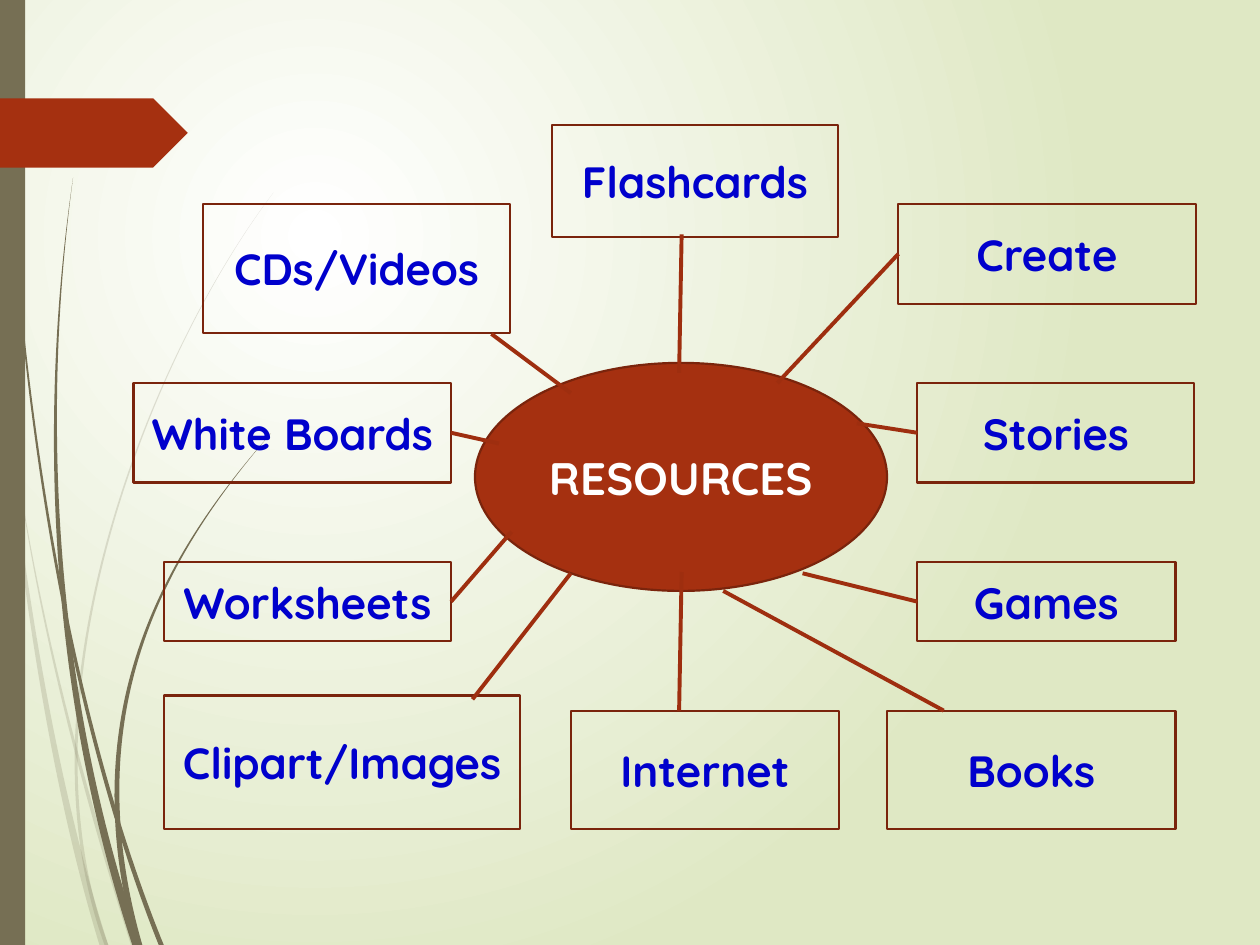
from dataclasses import dataclass
from typing import Optional

import lxml.etree
import pptx
import pptx.dml.color
import pptx.enum.shapes
import pptx.enum.text
import pptx.oxml.ns
import pptx.util
from pptx.dml.color import RGBColor
from pptx.util import Inches

WHITE = RGBColor(0xFF, 0xFF, 0xFF)
PALE_GREEN = RGBColor(0xDF, 0xE8, 0xC4)
OLIVE = RGBColor(0x76, 0x6F, 0x54)
RUST = RGBColor(0xA5, 0x30, 0x10)
DARK_RUST = RGBColor(0x7A, 0x24, 0x0C)
SPOKE_RUST = RGBColor(0x9E, 0x2E, 0x0F)
BLUE = RGBColor(0x00, 0x00, 0xCC)
FONT = "Quicksand"
SHAPES = pptx.enum.shapes.MSO_SHAPE
LEFT, RIGHT = 1, 3
qn = pptx.oxml.ns.qn
Point = tuple[float, float]
Box = tuple[float, float, float, float]


@dataclass
class Blade:
    """A grass blade along one cubic curve, widening from its tip to its base."""
    tip: Point
    upper: Point
    lower: Point
    base: Point
    width: float
    opacity: int


@dataclass
class Resource:
    """A labelled box and its spoke; side is the box's joined connection site."""
    label: str
    box: Box
    hub_end: Point
    box_end: Point
    side: Optional[int] = None


BLADES = (
    Blade((0, 2.82), (.12, 4.3), (.36, 6.1), (.79, 7.5), .07, 20),
    Blade((.1, 3.45), (.27, 4.8), (.62, 6.2), (1.04, 7.5), .04, 20),
    Blade((2.17, 1.53), (1.2, 2.8), (.1, 5.5), (.83, 7.5), .03, 20),
    Blade((.03, 0), (.06, 2.7), (.46, 5.5), (1.26, 7.5), .04, 100),
    Blade((.58, 1.41), (.3, 3.3), (.38, 5.47), (1.05, 7.5), .07, 100),
    Blade((2.15, 3.44), (1.35, 4.35), (.55, 5.6), (1.08, 7.5), .05, 100),
)
RESOURCES = (
    Resource("Flashcards", (4.38, .99, 2.27, .89), (5.39, 2.96), (5.41, 1.86)),
    Resource("Create", (7.13, 1.62, 2.36, .79), (6.17, 3.04), (7.13, 2.02), LEFT),
    Resource("Stories", (7.28, 3.04, 2.2, .79), (6.8, 3.36), (7.28, 3.44), LEFT),
    Resource("Games", (7.28, 4.46, 2.05, .63), (6.37, 4.55), (7.28, 4.77), LEFT),
    Resource("Books", (7.04, 5.64, 2.29, .94), (5.74, 4.69), (7.49, 5.64)),
    Resource("Internet", (4.53, 5.64, 2.13, .94), (5.41, 4.54), (5.39, 5.64)),
    Resource("Clipart/Images", (1.3, 5.52, 2.83, 1.06), (4.53, 4.55), (3.75, 5.55)),
    Resource("Worksheets", (1.3, 4.46, 2.28, .63), (4.06, 4.22), (3.58, 4.77), RIGHT),
    Resource("White Boards", (1.06, 3.04, 2.52, .79), (3.96, 3.52), (3.58, 3.44), RIGHT),
    Resource("CDs/Videos", (1.61, 1.62, 2.44, 1.02), (4.53, 3.12), (3.9, 2.65)),
)


def paint_background(slide) -> None:
    fill = slide.background.fill
    fill.gradient()
    for stop, color in zip(fill.gradient_stops, (WHITE, PALE_GREEN)):
        stop.color.rgb = color
    gradient = next(slide.element.iter(qn("a:gradFill")))
    gradient.remove(gradient.find(qn("a:lin")))
    circle = lxml.etree.SubElement(gradient, qn("a:path"), path="circle")
    lxml.etree.SubElement(circle, qn("a:fillToRect"), l="50000", t="50000", r="100000", b="100000")


def draw_blade(slide, blade: Blade) -> None:
    """Go down one edge, across the base and back up; each edge becomes one cubic curve."""
    down = [blade.upper, blade.lower, blade.base]
    shifts = (blade.width / 3, blade.width * 2 / 3, blade.width)
    back = [(x + shift, y) for (x, y), shift in zip(down, shifts)][::-1]
    builder = slide.shapes.build_freeform(*map(Inches, blade.tip))
    builder.add_line_segments([tuple(map(Inches, point)) for point in down + back + [blade.tip]])
    grass = builder.convert_to_shape()
    grass.shadow.inherit = False
    grass.line.fill.background()
    grass.fill.solid()
    grass.fill.fore_color.rgb = OLIVE
    color = next(grass.element.spPr.iter(qn("a:srgbClr")))
    if blade.opacity < 100:
        lxml.etree.SubElement(color, qn("a:alpha"), val=str(blade.opacity * 1000))
    segments = list(grass.element.iter(qn("a:lnTo")))
    for edge in (segments[:3], segments[4:]):
        curve = lxml.etree.Element(qn("a:cubicBezTo"))
        edge[0].addprevious(curve)
        for segment in edge:
            curve.append(segment[0])
            segment.getparent().remove(segment)


def draw_shape(slide, kind, box: Box, fill: Optional[RGBColor], outline: Optional[RGBColor] = None):
    shape = slide.shapes.add_shape(kind, *map(Inches, box))
    shape.shadow.inherit = False
    for part, color in ((shape.fill, fill), (shape.line.fill, outline)):
        if color is None:
            part.background()
        else:
            part.solid()
            part.fore_color.rgb = color
    if outline is not None:
        shape.line.width = pptx.util.Pt(1.25)
    return shape


def write_label(shape, text: str, size: int, color: RGBColor) -> None:
    shape.text_frame.text = text
    shape.text_frame.vertical_anchor = pptx.enum.text.MSO_ANCHOR.MIDDLE
    paragraph = shape.text_frame.paragraphs[0]
    paragraph.alignment = pptx.enum.text.PP_ALIGN.CENTER
    font = paragraph.runs[0].font
    font.name, font.size, font.bold = FONT, pptx.util.Pt(size), True
    font.color.rgb = color


def draw_spoke(slide, resource: Resource, box) -> None:
    ends = map(Inches, resource.hub_end + resource.box_end)
    spoke = slide.shapes.add_connector(pptx.enum.shapes.MSO_CONNECTOR.STRAIGHT, *ends)
    if resource.side is not None:
        spoke.end_connect(box, resource.side)
    spoke.line.color.rgb = SPOKE_RUST
    spoke.line.width = pptx.util.Pt(2.25)
    lxml.etree.SubElement(spoke.element.spPr, qn("a:effectLst"))


def main() -> None:
    deck = pptx.Presentation()
    deck.slide_width, deck.slide_height = Inches(10), Inches(7.5)
    slide = deck.slides.add_slide(deck.slide_layouts[6])
    paint_background(slide)
    for blade in BLADES:
        draw_blade(slide, blade)
    draw_shape(slide, SHAPES.RECTANGLE, (0, 0, .2, 7.5), OLIVE)
    draw_shape(slide, SHAPES.PENTAGON, (0, .78, 1.49, .55), RUST)
    hub = draw_shape(slide, SHAPES.OVAL, (3.77, 2.88, 3.27, 1.81), RUST, DARK_RUST)
    write_label(hub, "RESOURCES", 26, WHITE)
    boxes = [draw_shape(slide, SHAPES.RECTANGLE, resource.box, None, DARK_RUST) for resource in RESOURCES]
    for resource, box in zip(RESOURCES, boxes):
        write_label(box, resource.label, 25, BLUE)
        draw_spoke(slide, resource, box)
    deck.save("out.pptx")


if __name__ == "__main__":
    main()
